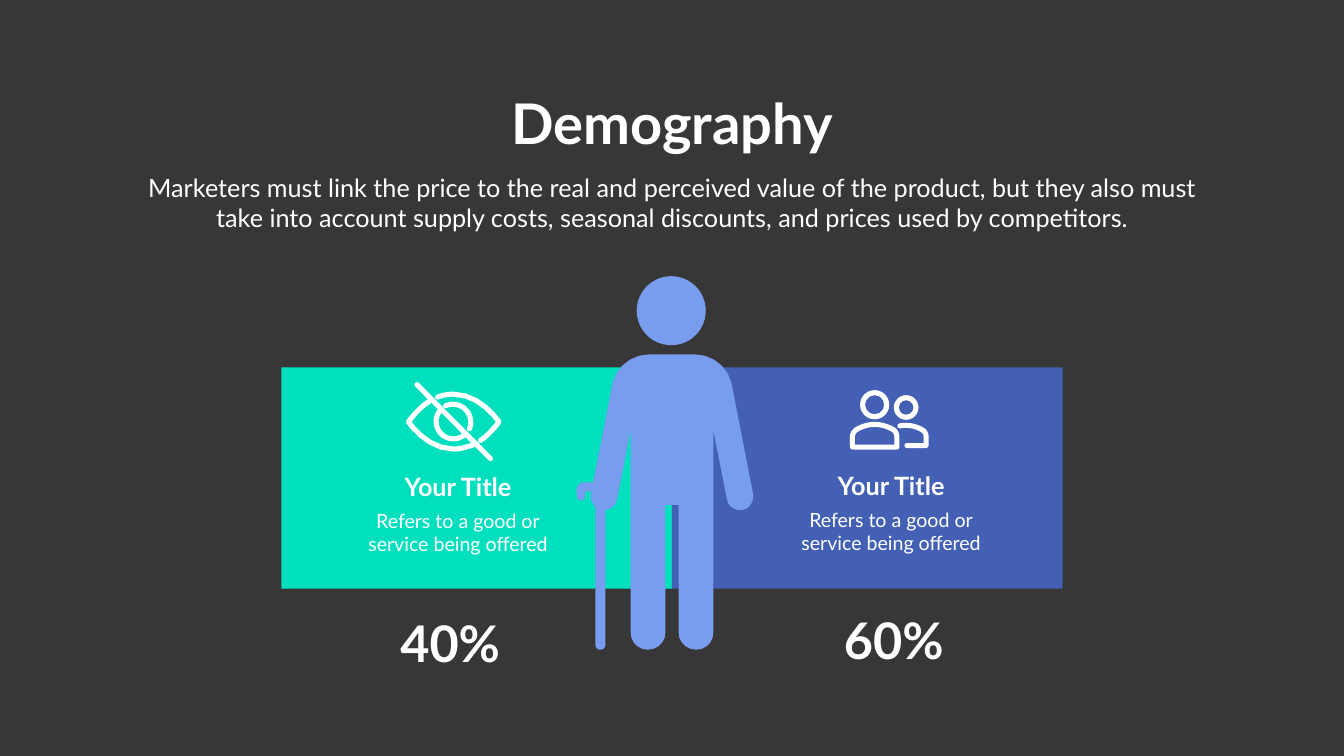
import lxml.etree
import pptx
import pptx.dml.color
import pptx.enum.shapes
import pptx.enum.text
import pptx.oxml.ns
import pptx.util

Inches = pptx.util.Inches
SHAPE = pptx.enum.shapes.MSO_SHAPE
WIDTH, HEIGHT = 26.66, 15
CURVE_STEPS = 5
STROKE = 0.1

THEME = {
    "font": "Lato",
    "colors": {
        "background": "373737",
        "left": "00DFBE",
        "right": "4460B4",
        "person": "799DEE",
        "icon": "FFFFFF",
        "text": "FFFFFF",
    },
    "text": {
        "heading": {"size": pptx.util.Pt(80), "bold": True},
        "intro": {"size": pptx.util.Pt(36), "bold": False},
        "share": {"size": pptx.util.Pt(72), "bold": True},
        "title": {"size": pptx.util.Pt(36), "bold": True},
        "body": {"size": pptx.util.Pt(28), "bold": False},
    },
}
COLORS = {
    name: pptx.dml.color.RGBColor.from_string(value)
    for name, value in THEME["colors"].items()
}


def trace(outline):
    """Turn points (x, y) and Bezier steps (x1, y1, x2, y2, x, y) into points."""
    points = []
    for step in outline:
        if len(step) == 2:
            points.append(step)
            continue
        corners = [points[-1], step[:2], step[2:4], step[4:]]
        for number in range(1, CURVE_STEPS + 1):
            t = number / CURVE_STEPS
            weights = [(1 - t) ** 3, 3 * t * (1 - t) ** 2, 3 * t**2 * (1 - t), t**3]
            points.append(tuple(
                sum(weight * corner[axis] for weight, corner in zip(weights, corners))
                for axis in (0, 1)
            ))
    return points


def fill_flat(shape, color):
    """Give a shape one flat colour, no line and no shadow."""
    shape.fill.solid()
    shape.fill.fore_color.rgb = COLORS[color]
    shape.line.fill.background()
    shape.shadow.inherit = False


presentation = pptx.Presentation()
presentation.slide_width = Inches(WIDTH)
presentation.slide_height = Inches(HEIGHT)
slide = presentation.slides.add_slide(presentation.slide_layouts[6])
slide.background.fill.solid()
slide.background.fill.fore_color.rgb = COLORS["background"]

# Two panels that meet behind the person
panel_width = 7.75
for color, left in (("left", WIDTH / 2 - panel_width), ("right", WIDTH / 2)):
    panel = slide.shapes.add_shape(
        SHAPE.RECTANGLE, Inches(left), Inches(7.29), Inches(panel_width), Inches(4.39))
    fill_flat(panel, color)

# The person's head and the two heads of the people icon
circles = [
    (SHAPE.OVAL, "person", 12.63, 5.48, 1.37),
    (SHAPE.DONUT, "icon", 17.06, 7.74, 0.58),
    (SHAPE.DONUT, "icon", 17.73, 7.84, 0.49),
]
for kind, color, left, top, diameter in circles:
    circle = slide.shapes.add_shape(
        kind, Inches(left), Inches(top), Inches(diameter), Inches(diameter))
    if kind == SHAPE.DONUT:
        circle.adjustments[0] = STROKE / diameter
    fill_flat(circle, color)

# The body is its right half plus the mirror image of that half
right_half = trace([
    (13.77, 7.03), (14.13, 7.03, 14.43, 7.27, 14.51, 7.6), (14.94, 9.81),
    (14.96, 9.95, 14.87, 10.09, 14.73, 10.12), (14.58, 10.14, 14.44, 10.05, 14.42, 9.91),
    (14.15, 8.54), (14.15, 12.56), (14.15, 12.73, 14.01, 12.89, 13.82, 12.89),
    (13.8, 12.89), (13.61, 12.89, 13.46, 12.73, 13.46, 12.56), (13.46, 10.02),
])
body = right_half + [(WIDTH - x, y) for x, y in reversed(right_half)]
cane = trace([
    (11.82, 9.57), (11.58, 9.57), (11.51, 9.57, 11.44, 9.63, 11.44, 9.71), (11.44, 9.84),
    (11.44, 9.89, 11.48, 9.93, 11.53, 9.93), (11.57, 9.93, 11.61, 9.89, 11.61, 9.84),
    (11.61, 9.75), (11.81, 9.75), (11.81, 12.79),
    (11.81, 12.85, 11.85, 12.89, 11.91, 12.89), (11.96, 12.89, 12.01, 12.85, 12.01, 12.79),
    (12.01, 9.75), (12.01, 9.65, 11.93, 9.57, 11.82, 9.57),
])

# Icon strokes, along the middle of each line
upper_lid = trace([
    (8.68, 7.88), (8.78, 7.84, 8.88, 7.82, 8.99, 7.82),
    (9.42, 7.82, 9.74, 8.15, 9.9, 8.37), (9.79, 8.51, 9.67, 8.65, 9.53, 8.74),
])
upper_iris = trace([
    (8.84, 8.05), (8.89, 8.03, 8.94, 8.02, 8.99, 8.02),
    (9.18, 8.02, 9.34, 8.18, 9.34, 8.37), (9.34, 8.42, 9.33, 8.46, 9.31, 8.51),
])
lower_lid = trace([
    (8.52, 7.96), (8.36, 8.06, 8.22, 8.21, 8.1, 8.37),
    (8.24, 8.56, 8.56, 8.91, 9, 8.91), (9.13, 8.91, 9.26, 8.87, 9.38, 8.83),
])
lower_iris = trace([
    (8.72, 8.16), (8.67, 8.22, 8.65, 8.3, 8.65, 8.37),
    (8.65, 8.56, 8.81, 8.71, 8.99, 8.71), (9.07, 8.71, 9.14, 8.68, 9.2, 8.64),
])
front_shoulders = trace([
    (16.91, 8.87), (16.91, 8.66), (16.91, 8.61, 16.94, 8.56, 16.98, 8.53),
    (17.09, 8.46, 17.22, 8.42, 17.35, 8.42), (17.48, 8.42, 17.61, 8.46, 17.73, 8.53),
    (17.76, 8.56, 17.79, 8.61, 17.79, 8.66), (17.79, 8.87),
])
back_shoulders = trace([
    (17.85, 8.45), (17.89, 8.44, 17.94, 8.44, 17.98, 8.44),
    (18.1, 8.44, 18.22, 8.48, 18.31, 8.54), (18.35, 8.57, 18.37, 8.61, 18.37, 8.66),
    (18.37, 8.84), (17.99, 8.84),
])

# Outline, filled or stroked, closed or open
outlines = [
    (body, True, True),
    (cane, True, True),
    (upper_lid, False, False),
    (upper_iris, False, False),
    (lower_lid, False, False),
    (lower_iris, False, False),
    (front_shoulders, False, True),
    (back_shoulders, False, False),
]
strokes = []
for points, filled, closed in outlines:
    corners = [(Inches(x), Inches(y)) for x, y in points]
    builder = slide.shapes.build_freeform(*corners[0])
    builder.add_line_segments(corners[1:], close=closed)
    shape = builder.convert_to_shape()
    if filled:
        fill_flat(shape, "person")
    else:
        shape.fill.background()
        strokes.append(shape)

slash = slide.shapes.add_connector(
    pptx.enum.shapes.MSO_CONNECTOR.STRAIGHT,
    Inches(8.27), Inches(7.63), Inches(9.73), Inches(9.1))
strokes.append(slash)

for stroke in strokes:
    stroke.line.color.rgb = COLORS["icon"]
    stroke.line.width = Inches(STROKE)
    properties = stroke._element.spPr
    line = properties.find(pptx.oxml.ns.qn("a:ln"))
    line.set("cap", "rnd")
    lxml.etree.SubElement(line, pptx.oxml.ns.qn("a:round"))
    lxml.etree.SubElement(properties, pptx.oxml.ns.qn("a:effectLst"))

# Text boxes: format, left, top, width, height, paragraphs
texts = [
    ("heading", 9.97, 1.71, 6.72, 1.45, ["Demography"]),
    ("intro", 2.68, 3.37, 21.3, 1.31, [
        "Marketers must link the price to the real and perceived value of the product, "
        "but they also must take into account supply costs, seasonal discounts, "
        "and prices used by competitors."]),
    ("share", 7.65, 12.09, 2.56, 1.31, ["40%"]),
    ("share", 16.45, 12.04, 2.56, 1.31, ["60%"]),
]
for left, top in ((7.1, 9.31), (15.69, 9.29)):
    texts += [
        ("title", left + 0.68, top, 2.61, 0.71, ["Your Title"]),
        ("body", left, top + 0.73, 3.97, 1.04,
         ["Refers to a good or", "service being offered"]),
    ]
for kind, left, top, width, height, lines in texts:
    box = slide.shapes.add_textbox(Inches(left), Inches(top), Inches(width), Inches(height))
    frame = box.text_frame
    frame.word_wrap = kind != "heading"
    frame.text = "\n".join(lines)
    for paragraph in frame.paragraphs:
        paragraph.alignment = pptx.enum.text.PP_ALIGN.CENTER
        font = paragraph.runs[0].font
        font.color.rgb = COLORS["text"]
        for name, value in {"name": THEME["font"], **THEME["text"][kind]}.items():
            setattr(font, name, value)

presentation.save("out.pptx")
